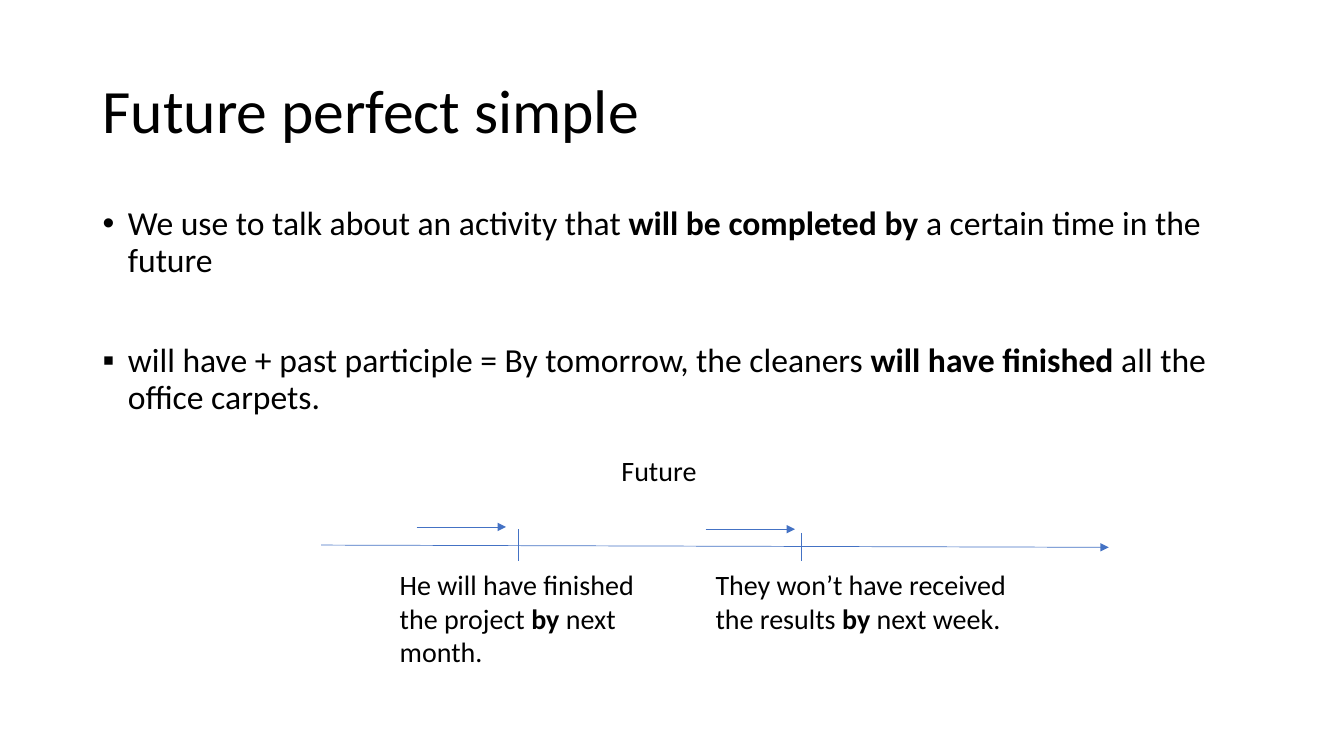
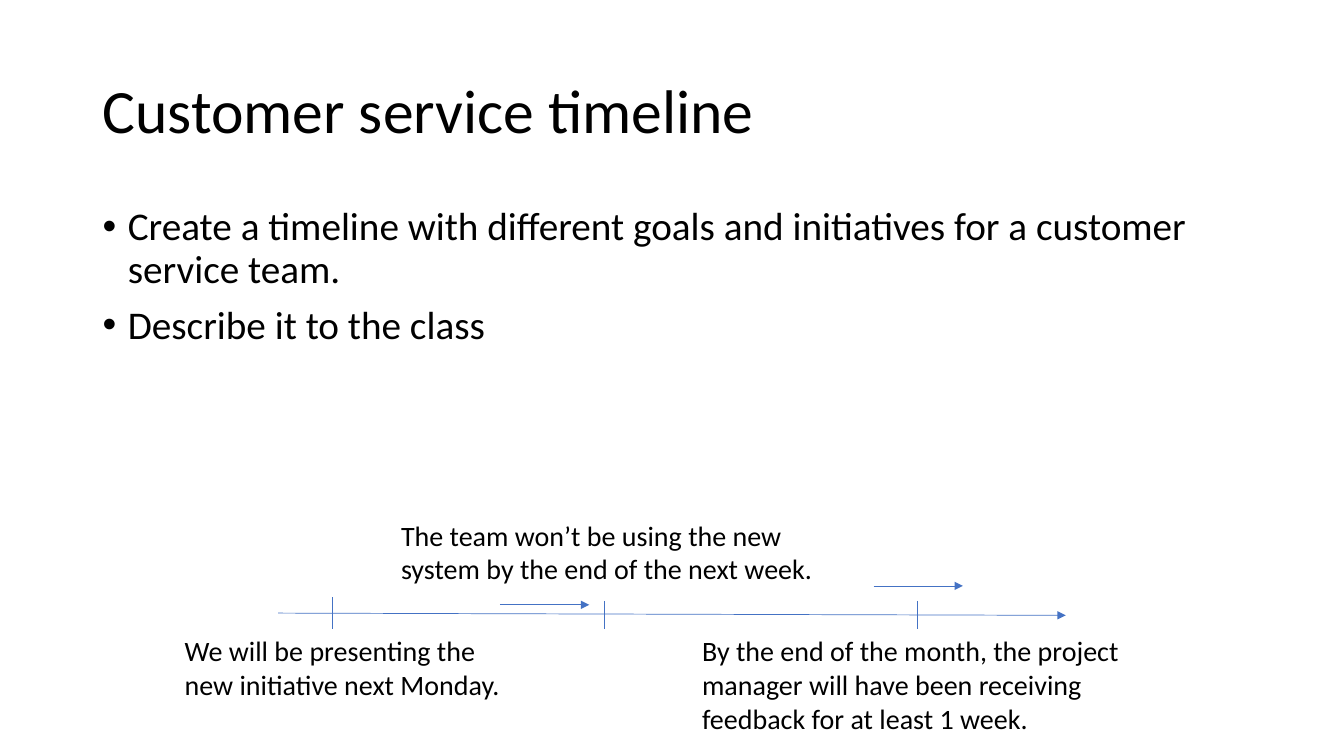
from lxml import etree
from pptx import Presentation
from pptx.dml.color import RGBColor
from pptx.enum.shapes import MSO_CONNECTOR
from pptx.enum.text import MSO_ANCHOR
from pptx.oxml.ns import qn
from pptx.util import Inches, Pt

STRAIGHT = MSO_CONNECTOR.STRAIGHT
TOP, MIDDLE = MSO_ANCHOR.TOP, MSO_ANCHOR.MIDDLE
COLORS = {"text": "000000", "line": "4472C4"}
FONT = "Calibri"
WIDTH, HEIGHT = Inches(13.33), Inches(7.5)

# All lengths below are percent of the slide's width or height.
LEFT, SPAN = 6.9, 86.25
AXIS, MOVE = 58.6, 6.65


def across(share):
    return round(WIDTH * share / 100)


def down(share):
    return round(HEIGHT * share / 100)


def color(name):
    return RGBColor.from_string(COLORS[name])


def add_box(slide, left, top, width, height, anchor=TOP):
    box = slide.shapes.add_textbox(across(left), down(top), across(width), down(height))
    frame = box.text_frame
    frame.word_wrap = True
    frame.vertical_anchor = anchor
    return frame


def add_runs(para, parts, size):
    """Write the parts as runs; every second one is bold."""
    for index, part in enumerate(parts):
        run = para.add_run()
        run.text = part
        run.font.name = FONT
        run.font.size = Pt(size)
        run.font.bold = index % 2 == 1
        run.font.color.rgb = color("text")


def add_title(slide, text):
    para = add_box(slide, LEFT, 5.3, SPAN, 19.3, MIDDLE).paragraphs[0]
    para.line_spacing = 0.9
    add_runs(para, [text], 44)


def set_bullet(para, mark):
    props = para._p.get_or_add_pPr()
    props.set("marL", str(Inches(0.25)))
    props.set("indent", str(Inches(-0.25)))
    etree.SubElement(props, qn("a:buFont")).set("typeface", "Arial")
    etree.SubElement(props, qn("a:buChar")).set("char", mark)


def add_body(slide, height, size, items, gap):
    """Add bullets, each item a mark and its parts, with a gap in points."""
    frame = add_box(slide, LEFT, 26.7, SPAN, height)
    for index, (mark, parts) in enumerate(items):
        para = frame.add_paragraph() if index else frame.paragraphs[0]
        set_bullet(para, mark)
        para.line_spacing = 0.9
        para.space_before = Pt(gap if index else 0)
        add_runs(para, parts, size)


def add_note(slide, left, top, width, lines, *parts):
    frame = add_box(slide, left, top, width, 1.4 + 4.45 * lines)
    add_runs(frame.paragraphs[0], parts, 20)


def add_line(slide, start, end, arrow=False):
    line = slide.shapes.add_connector(
        STRAIGHT, across(start[0]), down(start[1]), across(end[0]), down(end[1]))
    line.line.color.rgb = color("line")
    line.line.width = Pt(0.5)
    if arrow:
        etree.SubElement(line.get_or_add_ln(), qn("a:tailEnd")).set("type", "triangle")
    etree.SubElement(line.element.spPr, qn("a:effectLst"))


def add_time(slide, left, top, ticks, moves):
    """Draw the time axis, its ticks and the short arrows over it."""
    add_line(slide, (left, top), (left + AXIS, top + 0.3), True)
    for index, x in enumerate(ticks):
        rise = 1.6 if index else 2.1
        add_line(slide, (x, top - rise), (x, top + 2.1))
    for x, y in moves:
        add_line(slide, (x, y), (x + MOVE, y), True)


def add_perfect(slide):
    add_title(slide, "Future perfect simple")
    add_body(slide, 63.5, 24, [
        ("•", ["We use to talk about an activity that ", "will be completed by",
               " a certain time in the future"]),
        ("▪", ["will have + past participle = By tomorrow, the cleaners ",
               "will have finished ", "all the office carpets."]),
    ], 46)
    add_time(slide, 23.9, 72.1, [38.6, 59.6], [(31, 69.7), (52.5, 70)])
    add_note(slide, 45.5, 59.3, 9.45, 1, "Future")
    add_note(slide, 29, 74.4, 19.7, 3,
             "He will have finished the project ", "by", " next month.")
    add_note(slide, 52.5, 74.4, 24.2, 2,
             "They won’t have received the results ", "by", " next week.")


def add_service(slide):
    add_title(slide, "Customer service timeline")
    add_body(slide, 22.4, 28, [
        ("•", ["Create a timeline with different goals and initiatives "
               "for a customer service team."]),
        ("•", ["Describe it to the class"]),
    ], 10)
    add_time(slide, 20.7, 81.1, [24.7, 45, 68.25], [(37.2, 80), (65, 77.5)])
    add_note(slide, 13, 83.2, 25.4, 2,
             "We will be presenting the new initiative next Monday.")
    add_note(slide, 29.1, 67.9, 32.2, 2,
             "The team won’t be using the new system by the end of the next week.")
    add_note(slide, 51.5, 83.2, 34.5, 3,
             "By the end of the month, the project manager will have been "
             "receiving feedback for at least 1 week.")


def main():
    deck = Presentation()
    deck.slide_width, deck.slide_height = WIDTH, HEIGHT
    blank = deck.slide_layouts[6]
    for build in (add_perfect, add_service):
        build(deck.slides.add_slide(blank))
    deck.save("out.pptx")


if __name__ == "__main__":
    main()
